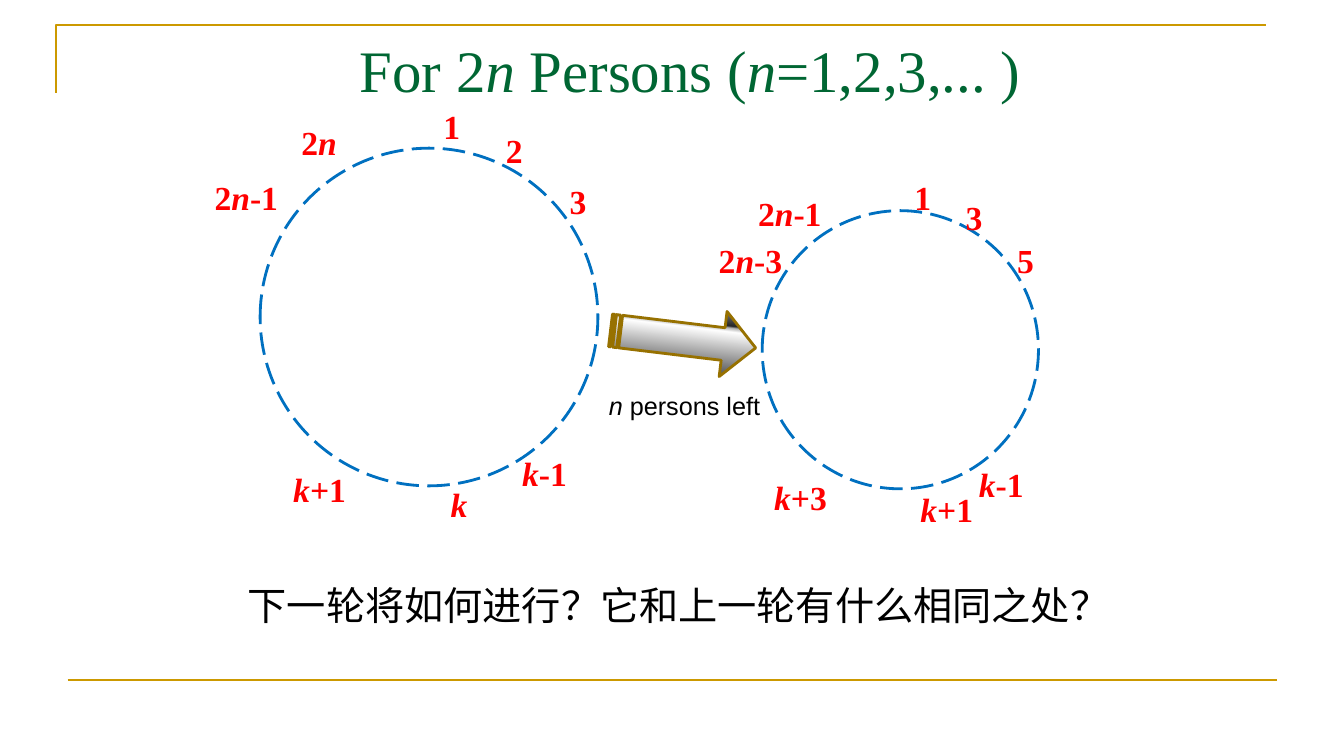
from lxml import etree
from pptx import Presentation
from pptx.dml.color import RGBColor
from pptx.enum.dml import MSO_LINE
from pptx.enum.shapes import MSO_CONNECTOR, MSO_SHAPE
from pptx.enum.text import MSO_ANCHOR, MSO_AUTO_SIZE
from pptx.oxml.ns import qn
from pptx.util import Inches, Pt

LONG_DASH = MSO_LINE.LONG_DASH
OVAL = MSO_SHAPE.OVAL
STRIPED_ARROW = MSO_SHAPE.STRIPED_RIGHT_ARROW
STRAIGHT = MSO_CONNECTOR.STRAIGHT
TOP = MSO_ANCHOR.TOP
FIT_SHAPE = MSO_AUTO_SIZE.SHAPE_TO_FIT_TEXT

COLORS = {"gold": "CC9900", "green": "006633", "blue": "0070C0",
          "red": "FF0000", "black": "000000", "bronze": "977100"}
SERIF, SANS = "Times New Roman", "Arial"

prs = Presentation()
prs.slide_width, prs.slide_height = Inches(13.33), Inches(7.5)
slide = prs.slides.add_slide(prs.slide_layouts[6])
shapes = slide.shapes


def set_line(shape, color, width):
    shape.line.color.rgb = RGBColor.from_string(COLORS[color])
    shape.line.width = Pt(width)


def add_text(text, left, top, width, height, color, size, font, bold=False):
    """Add a text box; stretches between asterisks are italic."""
    box = shapes.add_textbox(Inches(left), Inches(top), Inches(width), Inches(height))
    frame = box.text_frame
    frame.word_wrap = True
    frame.vertical_anchor = TOP
    for i, part in enumerate(text.split("*")):
        if part:
            run = frame.paragraphs[0].add_run()
            run.text = part
            formats = {"name": font, "size": Pt(size), "bold": bold, "italic": i % 2 == 1}
            for key, value in formats.items():
                setattr(run.font, key, value)
            run.font.color.rgb = RGBColor.from_string(COLORS[color])
    return frame


# Frame of the slide
corner_builder = shapes.build_freeform(Inches(0.56), Inches(0.92), scale=1.0)
corner_builder.add_line_segments(
    [(Inches(0.56), Inches(0.25)), (Inches(12.56), Inches(0.25))], close=False)
corner = corner_builder.convert_to_shape()
corner.shadow.inherit = False
corner.fill.background()
set_line(corner, "gold", 1.5)

footer_rule = shapes.add_connector(
    STRAIGHT, Inches(0.67), Inches(6.75), Inches(12.67), Inches(6.75))
set_line(footer_rule, "gold", 1.5)
etree.SubElement(footer_rule._element.spPr, qn("a:effectLst"))

title = add_text("For 2*n* Persons (*n*=1,2,3,... )", 3.47, 0.23, 8.2, 1.25,
                 "green", 42, SERIF)
title.margin_top = Inches(0.1)

# Circles before and after the first round: bounds, then labels with their boxes
rounds = [
    ((2.58, 1.47, 3.35, 3.35), [
        ("1", 4.3, 1, 0.31), ("2", 4.92, 1.24, 0.31), ("2*n*", 2.89, 1.16, 0.78),
        ("2*n*-1", 2.03, 1.71, 0.86), ("3", 5.55, 1.75, 0.31),
        ("*k+*1", 2.81, 4.6, 0.86), ("*k*", 4.37, 4.75, 0.86),
        ("*k*-1", 5.08, 4.44, 0.86)]),
    ((7.56, 2.09, 2.74, 2.76), [
        ("1", 8.97, 1.71, 0.26), ("3", 9.48, 1.9, 0.26), ("2*n*-1", 7.42, 1.86, 1.03),
        ("2*n*-3", 7.03, 2.33, 1.02), ("5", 9.99, 2.33, 0.26),
        ("*k*+3", 7.58, 4.68, 0.88), ("*k*+1", 9.03, 4.8, 0.81),
        ("*k*-1", 9.61, 4.55, 0.7)]),
]
for bounds, persons in rounds:
    circle = shapes.add_shape(OVAL, *map(Inches, bounds))
    circle.shadow.inherit = False
    circle.fill.background()
    set_line(circle, "blue", 2)
    circle.line.dash_style = LONG_DASH
    for person, left, top, width in persons:
        label = add_text(person, left, top, width, 0.5, "red", 24, SERIF, bold=True)
        label.auto_size = FIT_SHAPE

# Arrow with a metallic gradient running from bottom to top
arrow = shapes.add_shape(STRIPED_ARROW, Inches(6.05), Inches(3.04), Inches(1.45), Inches(0.65))
arrow.rotation = 6.9
arrow.shadow.inherit = False
set_line(arrow, "bronze", 2)
arrow.fill.gradient()
metal = [(0, "CBCBCB"), (13, "5F5F5F"), (21, "5F5F5F"), (63, "FFFFFF"),
         (67, "B2B2B2"), (69, "292929"), (82, "777777"), (100, "EAEAEA")]
gradient = arrow._element.spPr.find(qn("a:gradFill"))
stops = gradient.find(qn("a:gsLst"))
for stop in list(stops):
    stops.remove(stop)
for percent, color in metal:
    stop = etree.SubElement(stops, qn("a:gs"), pos=str(percent * 1000))
    etree.SubElement(stop, qn("a:srgbClr"), val=color)
gradient.find(qn("a:lin")).set("ang", str(270 * 60000))

remaining = add_text("*n *persons left", 5.94, 3.82, 1.8, 0.4, "black", 18, SANS)
remaining.auto_size = FIT_SHAPE

question = add_text("下一轮将如何进行？它和上一轮有什么相同之处？",
                    2.36, 5.72, 8.84, 0.57, "black", 28, SANS)
question.word_wrap = False
question.auto_size = FIT_SHAPE

prs.save("out.pptx")
